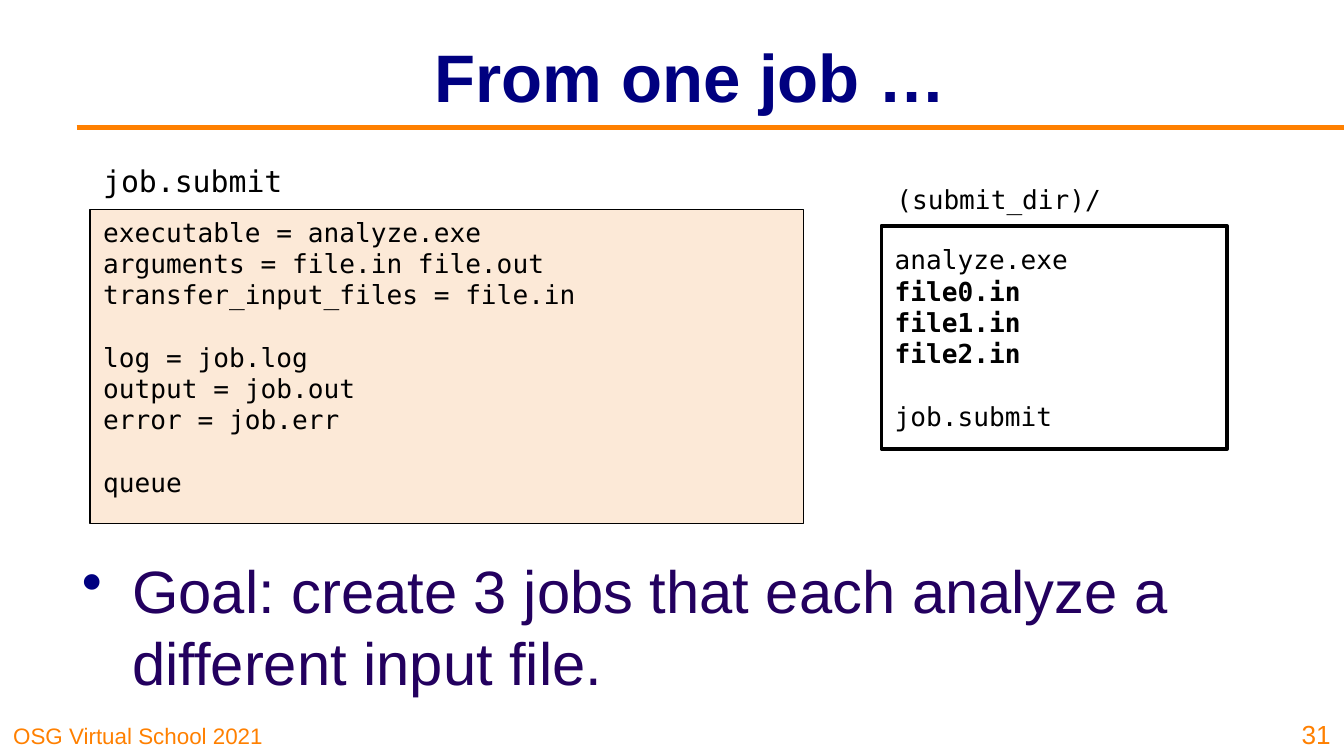
import pptx
import pptx.oxml.xmlchemy
import pptx.util
from pptx.dml.color import RGBColor
from pptx.enum.shapes import MSO_CONNECTOR, MSO_SHAPE
from pptx.enum.text import MSO_ANCHOR, PP_ALIGN
from pptx.oxml.ns import qn
from pptx.oxml.xmlchemy import OxmlElement
from pptx.util import Cm

ORANGE = RGBColor(0xFF, 0x80, 0x00)
NAVY = RGBColor(0x00, 0x00, 0x80)
INDIGO = RGBColor(0x23, 0x00, 0x5F)
PEACH = RGBColor(0xFC, 0xE9, 0xD7)
WHITE = RGBColor(0xFF, 0xFF, 0xFF)
BLACK = RGBColor(0x00, 0x00, 0x00)
SANS = "Arial"
MONO = "DejaVu Sans Mono"
CODE_SIZE = 14
CODE_GAP = pptx.util.Pt(16.5)


class SlideBuilder:
    def __init__(self, slide):
        self.slide = slide

    def add_run(self, paragraph, text, size, color, font=SANS, bold=False):
        run = paragraph.add_run()
        run.text = text
        run.font.name = font
        run.font.size = pptx.util.Pt(size)
        run.font.bold = bold
        run.font.color.rgb = color

    def label(self, box, text, size, color, font=SANS, bold=False,
              align=PP_ALIGN.LEFT, anchor=MSO_ANCHOR.TOP):
        """Add a one-paragraph text box and return its paragraph."""
        shape = self.slide.shapes.add_textbox(*map(Cm, box))
        frame = shape.text_frame
        frame.word_wrap = True
        frame.vertical_anchor = anchor
        paragraph = frame.paragraphs[0]
        paragraph.alignment = align
        self.add_run(paragraph, text, size, color, font, bold)
        return paragraph

    def bullet(self, box, text, size, color, bullet_color):
        paragraph = self.label(box, text, size, color)
        properties = paragraph._p.get_or_add_pPr()
        properties.set("marL", str(Cm(0.95)))
        properties.set("indent", str(-Cm(0.95)))
        color_element = OxmlElement("a:buClr")
        value = OxmlElement("a:srgbClr")
        value.set("val", str(bullet_color))
        color_element.append(value)
        character = OxmlElement("a:buChar")
        character.set("char", "•")
        properties.extend([color_element, character])

    def code_panel(self, box, groups, fill, line_width, anchor, bold_lines=()):
        """Add a framed listing, with a line's gap between groups."""
        shape = self.slide.shapes.add_shape(MSO_SHAPE.RECTANGLE, *map(Cm, box))
        shape.shadow.inherit = False
        shape.fill.solid()
        shape.fill.fore_color.rgb = fill
        shape.line.color.rgb = BLACK
        shape.line.width = pptx.util.Pt(line_width)
        frame = shape.text_frame
        frame.word_wrap = True
        frame.vertical_anchor = anchor
        paragraph = frame.paragraphs[0]
        for group_index, group in enumerate(groups):
            for line_index, text in enumerate(group):
                if group_index or line_index:
                    paragraph = frame.add_paragraph()
                if group_index and not line_index:
                    paragraph.space_before = CODE_GAP
                paragraph.alignment = PP_ALIGN.LEFT
                self.add_run(paragraph, text, CODE_SIZE, BLACK, MONO, text in bold_lines)

    def rule(self, left, right, top, color, width):
        connector = self.slide.shapes.add_connector(
            MSO_CONNECTOR.STRAIGHT, Cm(left), Cm(top), Cm(right), Cm(top))
        connector.line.color.rgb = color
        connector.line.width = pptx.util.Pt(width)
        connector._element.find(qn("p:spPr")).append(OxmlElement("a:effectLst"))


def main():
    presentation = pptx.Presentation()
    presentation.slide_width = Cm(25.4)
    presentation.slide_height = Cm(14.29)
    builder = SlideBuilder(presentation.slides.add_slide(presentation.slide_layouts[6]))

    builder.label((0, 13.49, 6.3, 0.8), "OSG Virtual School 2021", 12, ORANGE,
                  anchor=MSO_ANCHOR.BOTTOM)
    builder.rule(1.45, 25.4, 2.41, ORANGE, 3)
    builder.label((3.4, 0.23, 19.3, 2.39), "From one job …", 36, NAVY, bold=True,
                  align=PP_ALIGN.CENTER, anchor=MSO_ANCHOR.MIDDLE)
    builder.bullet((1.3, 10.34, 22.86, 3.07),
                   "Goal: create 3 jobs that each analyze a different input file.",
                   32, INDIGO, NAVY)

    submit_file = [
        ["executable = analyze.exe", "arguments = file.in file.out",
         "transfer_input_files = file.in"],
        ["log = job.log", "output = job.out", "error = job.err"],
        ["queue"],
    ]
    builder.code_panel((1.7, 3.96, 13.49, 5.94), submit_file, PEACH, 0.75, MSO_ANCHOR.TOP)
    builder.label((1.7, 2.95, 3.94, 0.8), "job.submit", 16, BLACK, MONO)

    inputs = [f"file{number}.in" for number in range(3)]
    builder.code_panel((16.66, 4.27, 6.53, 4.22), [["analyze.exe", *inputs], ["job.submit"]],
                       WHITE, 2, MSO_ANCHOR.MIDDLE, bold_lines=inputs)
    builder.label((16.69, 3.35, 5.51, 0.84), "(submit_dir)/", CODE_SIZE, BLACK, MONO)

    builder.label((24.23, 13.34, 1.17, 0.95), "31", 14, ORANGE,
                  align=PP_ALIGN.RIGHT, anchor=MSO_ANCHOR.BOTTOM)
    presentation.save("out.pptx")


if __name__ == "__main__":
    main()
